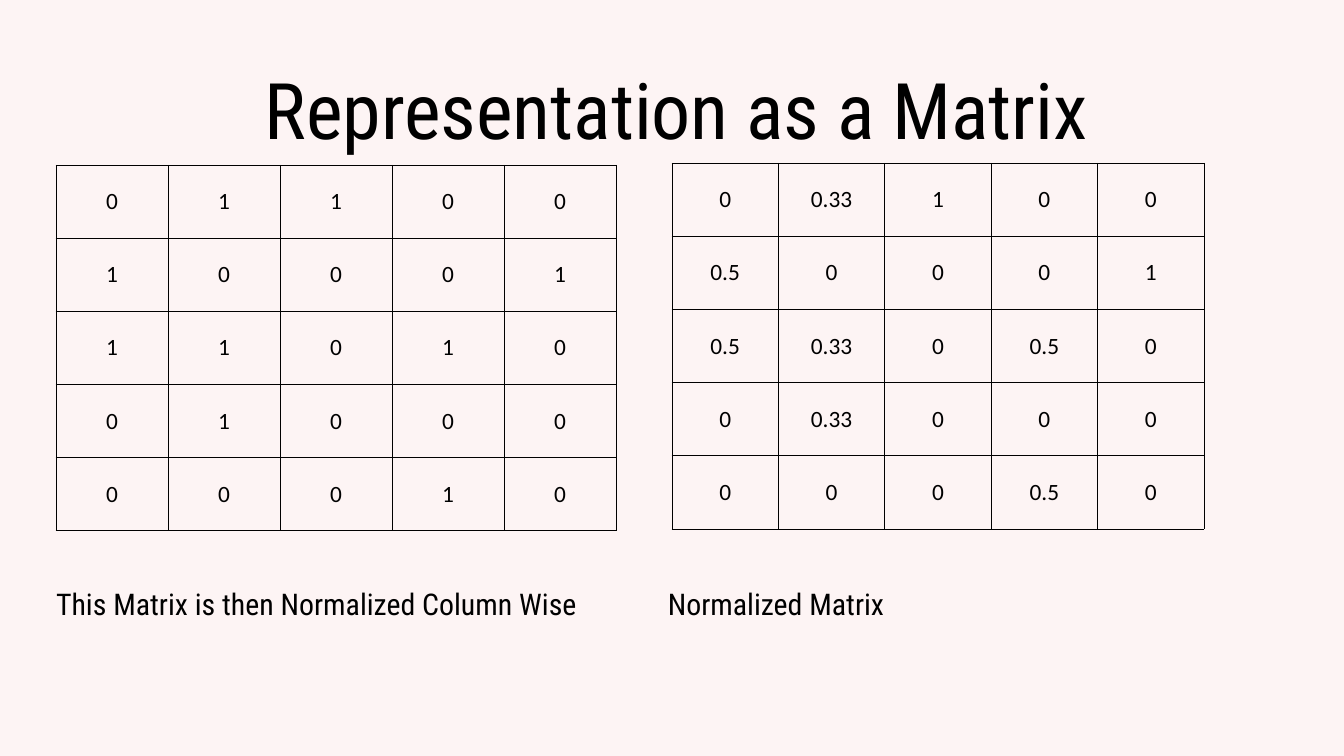
"""Build a slide that shows a matrix beside its column-normalized form."""
from dataclasses import dataclass

import lxml.etree
import pptx
import pptx.dml.color
import pptx.enum.text
import pptx.oxml.ns
import pptx.util

Pt = pptx.util.Pt
Align = pptx.enum.text.PP_ALIGN


@dataclass(frozen=True)
class Theme:
    back: str = "FDF4F4"
    ink: str = "000000"
    head_font: str = "Roboto Condensed"
    cell_font: str = "Calibri"
    title: float = 83.6
    note: float = 32
    cell: float = 25
    rule: float = 1


@dataclass(frozen=True)
class Label:
    text: str
    left: float
    top: float
    width: float
    height: float
    size: float
    lead: float
    align: Align
    tab: float = 0


@dataclass(frozen=True)
class Matrix:
    left: float
    top: float
    col: float
    row: float
    rows: tuple[str, ...]


THEME = Theme()
LABELS = (
    Label("Representation as a Matrix", 126.7, 49.7, 1197.4, 113,
          THEME.title, 117, Align.CENTER),
    Label("This Matrix is then Normalized Column Wise\tNormalized Matrix",
          60, 620.6, 1314, 41.8, THEME.note, 44.8, Align.LEFT, 655.5),
)
TABLES = (
    Matrix(60, 177, 120, 78.35,
           ("0 1 1 0 0", "1 0 0 0 1", "1 1 0 1 0", "0 1 0 0 0", "0 0 0 1 0")),
    Matrix(720, 175, 114, 78.35,
           ("0 0.33 1 0 0", "0.5 0 0 0 1", "0.5 0.33 0 0.5 0",
            "0 0.33 0 0 0", "0 0 0 0.5 0")),
)


def color(code: str) -> pptx.dml.color.RGBColor:
    return pptx.dml.color.RGBColor.from_string(code)


def add_node(base, tag: str, **attrs: str):
    node = lxml.etree.SubElement(base, pptx.oxml.ns.qn(tag))
    for name, value in attrs.items():
        node.set(name, value)
    return node


def style(para, face: str, size: float, align: Align) -> None:
    para.alignment = align
    para.font.name = face
    para.font.size = Pt(size)
    para.font.color.rgb = color(THEME.ink)


def draw_label(slide, label: Label) -> None:
    box = slide.shapes.add_textbox(
        Pt(label.left), Pt(label.top), Pt(label.width), Pt(label.height))
    frame = box.text_frame
    frame.word_wrap = True
    frame.margin_left = frame.margin_right = 0
    frame.margin_top = frame.margin_bottom = 0
    para = frame.paragraphs[0]
    para.text = label.text
    para.line_spacing = Pt(label.lead)
    if label.tab:
        tabs = add_node(para._p.get_or_add_pPr(), "a:tabLst")
        add_node(tabs, "a:tab", pos=str(int(Pt(label.tab))), algn="l")
    style(para, THEME.head_font, label.size, label.align)


def draw_cell(cell, text: str) -> None:
    props = cell._tc.get_or_add_tcPr()
    for side in "LRTB":
        line = add_node(props, f"a:ln{side}", w=str(int(Pt(THEME.rule))))
        add_node(add_node(line, "a:solidFill"), "a:srgbClr", val=THEME.ink)
    cell.fill.background()
    cell.vertical_anchor = pptx.enum.text.MSO_ANCHOR.MIDDLE
    para = cell.text_frame.paragraphs[0]
    para.text = text
    style(para, THEME.cell_font, THEME.cell, Align.CENTER)


def draw_matrix(slide, matrix: Matrix) -> None:
    grid = [row.split() for row in matrix.rows]
    high, wide = len(grid), len(grid[0])
    table = slide.shapes.add_table(
        high, wide, Pt(matrix.left), Pt(matrix.top),
        Pt(matrix.col * wide), Pt(matrix.row * high)).table
    table.first_row = table.horz_banding = False
    for col in table.columns:
        col.width = Pt(matrix.col)
    for row, values in zip(table.rows, grid):
        row.height = Pt(matrix.row)
        for cell, value in zip(row.cells, values):
            draw_cell(cell, value)


def main() -> None:
    deck = pptx.Presentation()
    deck.slide_width, deck.slide_height = Pt(1440), Pt(810)
    slide = deck.slides.add_slide(deck.slide_layouts[6])
    slide.background.fill.solid()
    slide.background.fill.fore_color.rgb = color(THEME.back)
    for label in LABELS:
        draw_label(slide, label)
    for matrix in TABLES:
        draw_matrix(slide, matrix)
    deck.save("out.pptx")


if __name__ == "__main__":
    main()
